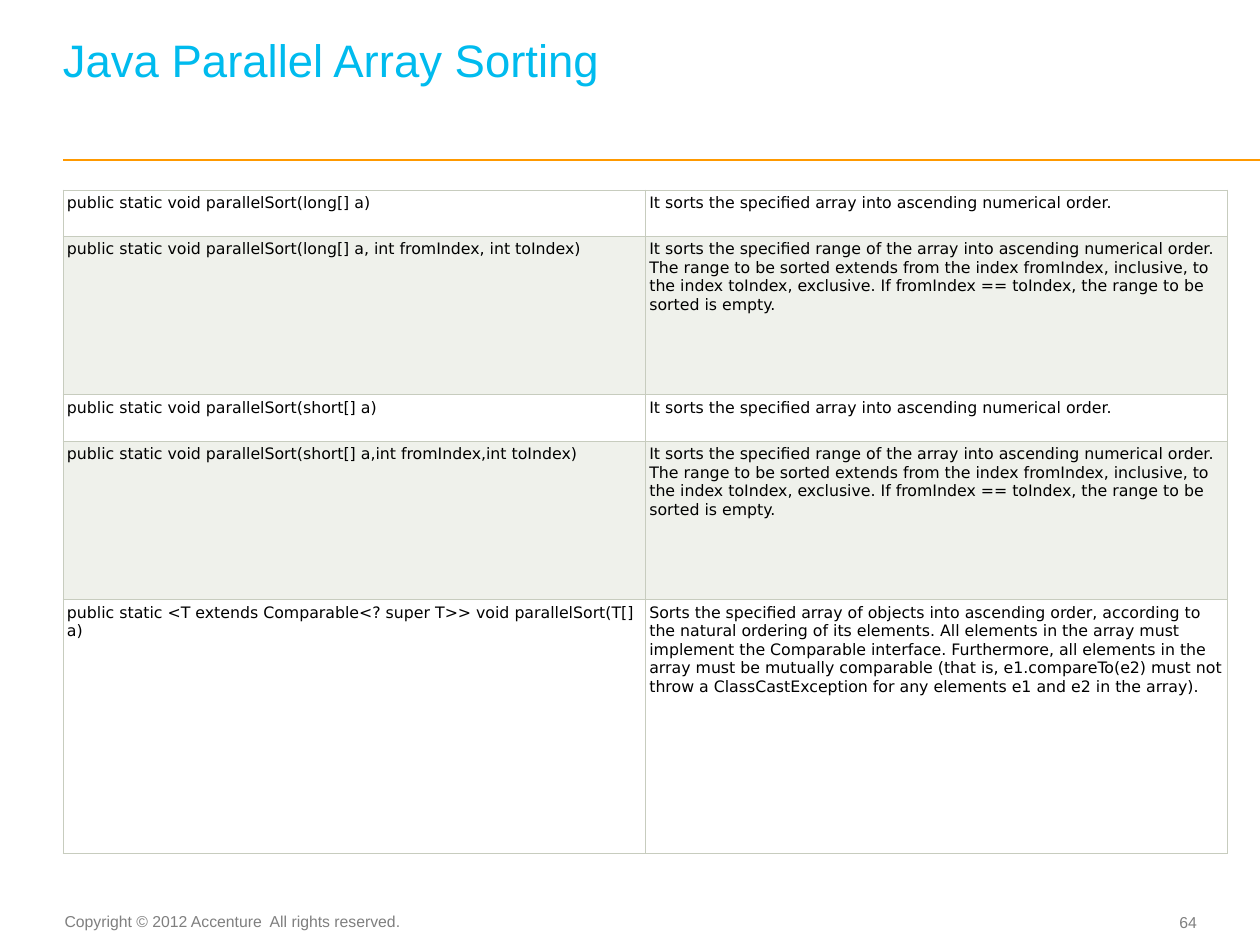
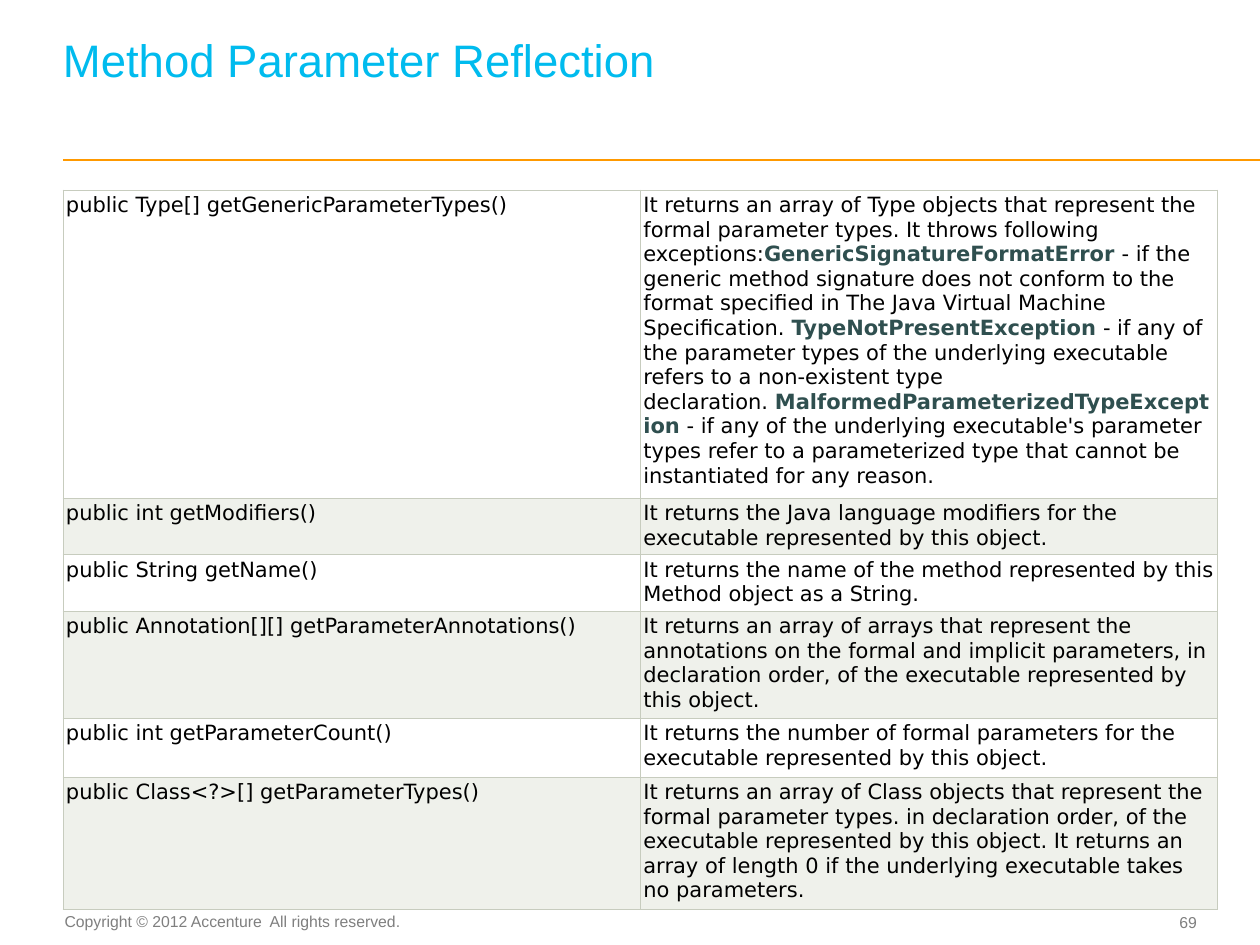
from lxml import etree
from pptx import Presentation
from pptx.dml.color import RGBColor
from pptx.enum.shapes import MSO_CONNECTOR
from pptx.enum.text import MSO_ANCHOR, PP_ALIGN
from pptx.oxml.ns import qn
from pptx.util import Cm, Pt

CYAN = RGBColor(0x00, 0xBB, 0xEE)
ORANGE = RGBColor(0xFF, 0x99, 0x00)
GRAY = RGBColor(0x7F, 0x7F, 0x7F)
BLACK = RGBColor(0x00, 0x00, 0x00)
SLATE = RGBColor(0x2F, 0x4F, 0x4F)
EDGE = RGBColor(0xC7, 0xCC, 0xBE)
BANDS = (RGBColor(0xFF, 0xFF, 0xFF), RGBColor(0xEF, 0xF1, 0xEB))
SANS, MONO = "Arial", "DejaVu Sans"
LINE = MSO_CONNECTOR.STRAIGHT
TOP, MIDDLE, BOTTOM = MSO_ANCHOR.TOP, MSO_ANCHOR.MIDDLE, MSO_ANCHOR.BOTTOM
LEFT, CENTER, RIGHT = PP_ALIGN.LEFT, PP_ALIGN.CENTER, PP_ALIGN.RIGHT

# Content: *bold* marks an exception name, ~ a no-break space
RIGHTS = "Copyright © 2012 Accenture  All rights reserved."
WHOLE = "It sorts the specified array into ascending numerical order."
RANGE = (
    "It sorts the specified range of the array into ascending numerical order. "
    "The range to be sorted extends from the index fromIndex, inclusive, to the "
    "index toIndex, exclusive. If fromIndex == toIndex, the range to be sorted is empty."
)
# Each row: height in cm, method, meaning
SLIDES = [
    dict(
        title="Java Parallel Array Sorting", page="64", size=9, pad=0.08, width=23.48,
        rows=[
            (0.93, "public static void parallelSort(long[] a)", WHOLE),
            (3.2, "public static void parallelSort(long[] a, int fromIndex, int toIndex)", RANGE),
            (0.93, "public static void parallelSort(short[] a)", WHOLE),
            (3.2, "public static void parallelSort(short[] a,int fromIndex,int toIndex)", RANGE),
            (5.12, "public static <T extends Comparable<? super T>> void parallelSort(T[] a)",
             "Sorts the specified array of objects into ascending order, according to the "
             "natural ordering of its elements. All elements in the array must implement the "
             "Comparable interface. Furthermore, all elements in the array must be mutually "
             "comparable (that is, e1.compareTo(e2) must not throw a ClassCastException for "
             "any elements e1 and e2 in the array)."),
        ],
    ),
    dict(
        title="Method Parameter Reflection", page="69", size=12, pad=0.06, width=23.28,
        rows=[
            (6.05, "public Type[] getGenericParameterTypes()",
             "It returns an array of Type objects that represent the formal parameter types. "
             "It throws following exceptions:*GenericSignatureFormatError*~- if the generic "
             "method signature does not conform to the format specified in The Java Virtual "
             "Machine Specification.~*TypeNotPresentException*~- if any of the parameter "
             "types of the underlying executable refers to a non-existent type declaration.~"
             "*MalformedParameterizedTypeException*~- if any of the underlying executable's "
             "parameter types refer to a parameterized type that cannot be instantiated for "
             "any reason."),
            (0.94, "public int getModifiers()",
             "It returns the Java language modifiers for the executable represented by this object."),
            (0.94, "public String getName()",
             "It returns the name of the method represented by this Method object as a String."),
            (1.73, "public Annotation[][] getParameterAnnotations()",
             "It returns an array of arrays that represent the annotations on the formal and "
             "implicit parameters, in declaration order, of the executable represented by "
             "this object."),
            (1.19, "public int getParameterCount()",
             "It returns the number of formal parameters for the executable represented by "
             "this object."),
            (2.54, "public Class<?>[] getParameterTypes()",
             "It returns an array of Class objects that represent the formal parameter types. "
             "in declaration order, of the executable represented by this object. It returns "
             "an array of length 0 if the underlying executable takes no parameters."),
        ],
    ),
]


def set_font(par, name, size, color):
    par.font.name, par.font.size = name, Pt(size)
    par.font.color.rgb = color


def set_pads(part, pads):
    (part.margin_left, part.margin_top,
     part.margin_right, part.margin_bottom) = [Cm(pad) for pad in pads]


def add_text(slide, text, box, size, color, align, anchor, pads=(0, 0, 0, 0), wrap=True):
    frame = slide.shapes.add_textbox(*[Cm(v) for v in box]).text_frame
    frame.word_wrap = wrap
    frame.vertical_anchor = anchor
    set_pads(frame, pads)
    par = frame.paragraphs[0]
    par.text, par.alignment = text, align
    set_font(par, SANS, size, color)
    return par


def add_base(slide, title, page):
    # Rule under the title
    rule = slide.shapes.add_connector(LINE, Cm(1.27), Cm(3.22), Cm(25.4), Cm(3.22))
    rule.line.color.rgb, rule.line.width = ORANGE, Pt(1)
    etree.SubElement(rule._element.spPr, qn("a:effectLst"))
    # Footer
    add_text(slide, RIGHTS, (1.24, 18.26, 7.14, 0.63), 9, GRAY, CENTER, TOP,
             (0, 0.13, 0.25, 0.13), wrap=False)
    add_text(slide, page, (22.63, 18.24, 1.5, 0.69), 9, GRAY, RIGHT, MIDDLE)
    # Title, kept one line above the foot of its box
    par = add_text(slide, title, (1.27, 0.48, 22.78, 2.18), 26, CYAN, LEFT, BOTTOM,
                   (0, 0, 0, 0.92))
    par.line_spacing = Pt(26)


def add_edges(cell):
    props = cell._tc.get_or_add_tcPr()
    for side in ("lnL", "lnR", "lnT", "lnB"):
        edge = etree.SubElement(props, qn("a:" + side), w=str(Pt(0.6)))
        fill = etree.SubElement(edge, qn("a:solidFill"))
        etree.SubElement(fill, qn("a:srgbClr"), val=str(EDGE))


def fill_cell(cell, text, size, pad, band):
    add_edges(cell)
    cell.fill.solid()
    cell.fill.fore_color.rgb = band
    set_pads(cell, [pad] * 4)
    par = cell.text_frame.paragraphs[0]
    set_font(par, MONO, size, BLACK)
    for i, part in enumerate(text.replace("~", chr(160)).split("*")):
        run = par.add_run()
        run.text = part
        if i % 2:
            run.font.bold = True
            run.font.color.rgb = SLATE


def add_methods(slide, rows, size, pad, width):
    high = sum(row[0] for row in rows)
    table = slide.shapes.add_table(
        len(rows), 2, Cm(1.27), Cm(3.83), Cm(width), Cm(high)).table
    table.first_row = table.horz_banding = False
    for r, (tall, *texts) in enumerate(rows):
        table.rows[r].height = Cm(tall)
        for c, text in enumerate(texts):
            fill_cell(table.cell(r, c), text, size, pad, BANDS[r % 2])


def main():
    deck = Presentation()
    deck.slide_width, deck.slide_height = Cm(25.4), Cm(19.05)
    for item in SLIDES:
        slide = deck.slides.add_slide(deck.slide_layouts[6])
        add_base(slide, item["title"], item["page"])
        add_methods(slide, item["rows"], item["size"], item["pad"], item["width"])
    deck.save("out.pptx")


if __name__ == "__main__":
    main()
